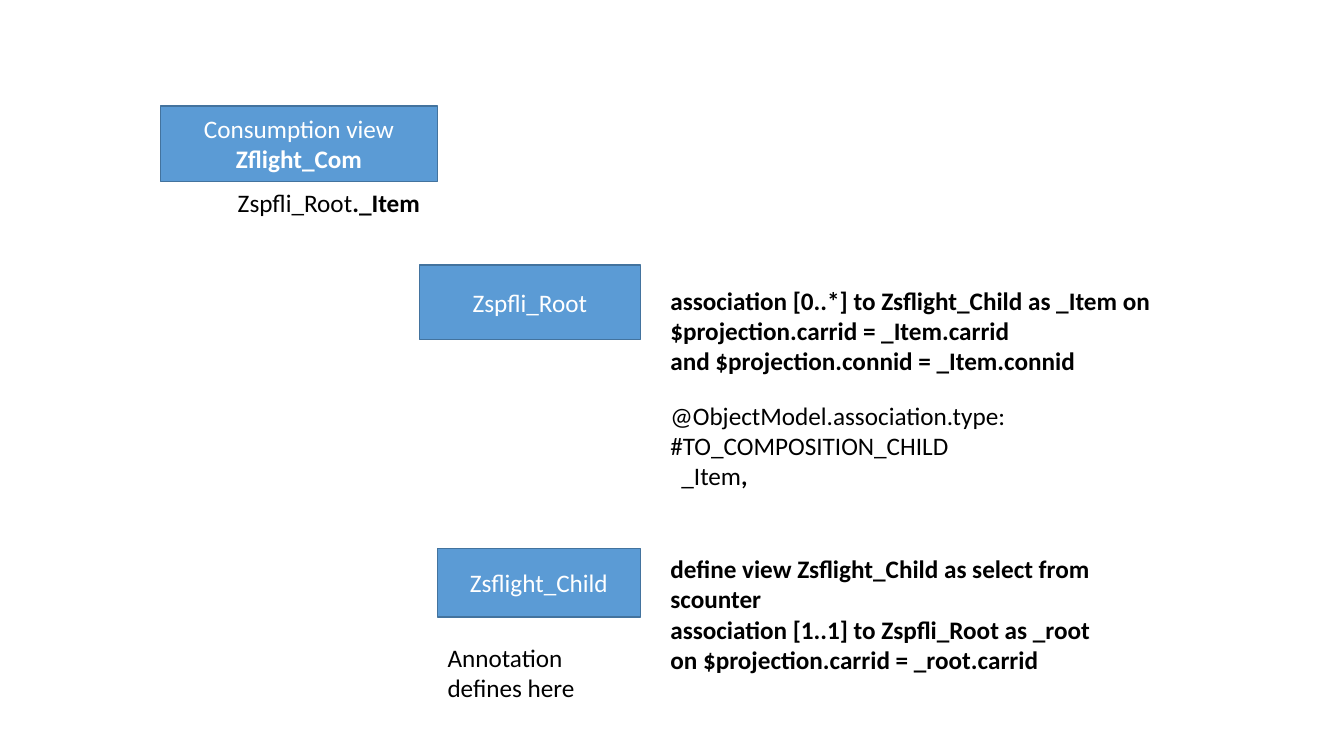
import pptx
import pptx.dml.color
import pptx.enum.shapes
import pptx.enum.text
import pptx.util

Inches = pptx.util.Inches


def color(hex_string):
    return pptx.dml.color.RGBColor.from_string(hex_string)


def write_text(shape, paragraphs, font_color, alignment):
    """Fill a shape with paragraphs, each a list of (text, bold) runs."""
    frame = shape.text_frame
    frame.word_wrap = True
    for index, runs in enumerate(paragraphs):
        paragraph = frame.paragraphs[0] if index == 0 else frame.add_paragraph()
        paragraph.alignment = alignment
        for text, bold in runs:
            run = paragraph.add_run()
            run.text = text
            run.font.name = "Calibri"
            run.font.size = pptx.util.Pt(18)
            run.font.bold = bold
            run.font.color.rgb = color(font_color)


presentation = pptx.Presentation()
presentation.slide_width = Inches(13.33)
presentation.slide_height = Inches(7.5)
slide = presentation.slides.add_slide(presentation.slide_layouts[6])

# View boxes: left, top, width, height, paragraphs
views = [
    (1.59, 1.05, 2.75, 0.75, [[("Consumption view", False)], [("Zflight_Com", True)]]),
    (4.16, 2.63, 2.19, 0.74, [[("Zspfli_Root", False)]]),
    (4.34, 5.44, 2.01, 0.68, [[("Zsflight_Child", False)]]),
]
for left, top, width, height, paragraphs in views:
    box = slide.shapes.add_shape(
        pptx.enum.shapes.MSO_SHAPE.RECTANGLE,
        Inches(left), Inches(top), Inches(width), Inches(height))
    box.shadow.inherit = False
    box.fill.solid()
    box.fill.fore_color.rgb = color("5B9BD5")
    box.line.color.rgb = color("43739E")
    box.line.width = pptx.util.Pt(1)
    box.text_frame.vertical_anchor = pptx.enum.text.MSO_ANCHOR.MIDDLE
    write_text(box, paragraphs, "FFFFFF", pptx.enum.text.PP_ALIGN.CENTER)

# Notes beside and below the boxes
code_left = 6.55
notes = [
    (2.26, 1.81, 2.47, 0.4, [[("Zspfli_Root", False), ("._Item", True)]]),
    (code_left, 2.78, 5.95, 1.01, [
        [("association [0..*] to Zsflight_Child as _Item on "
          "$projection.carrid = _Item.carrid", True)],
        [("and $projection.connid = _Item.connid", True)]]),
    (code_left, 3.92, 5.15, 1.01, [
        [("@ObjectModel.association.type: #TO_COMPOSITION_CHILD", False)],
        [("_Item", False), (",", True)]]),
    (code_left, 5.44, 4.48, 1.31, [
        [("define view Zsflight_Child as select from scounter", True)],
        [("association [1..1] to Zspfli_Root as _root", True)],
        [("on $projection.carrid = _root.carrid", True)]]),
    (4.34, 6.32, 2.01, 0.71, [[("Annotation defines here", False)]]),
]
for left, top, width, height, paragraphs in notes:
    note = slide.shapes.add_textbox(
        Inches(left), Inches(top), Inches(width), Inches(height))
    write_text(note, paragraphs, "000000", pptx.enum.text.PP_ALIGN.LEFT)
    note.text_frame.auto_size = pptx.enum.text.MSO_AUTO_SIZE.SHAPE_TO_FIT_TEXT

    # Indent the exposed association under its annotation
    for paragraph in note.text_frame.paragraphs:
        if paragraph.text == "_Item,":
            paragraph._p.get_or_add_pPr().set("marL", str(Inches(0.11)))

presentation.save("out.pptx")
